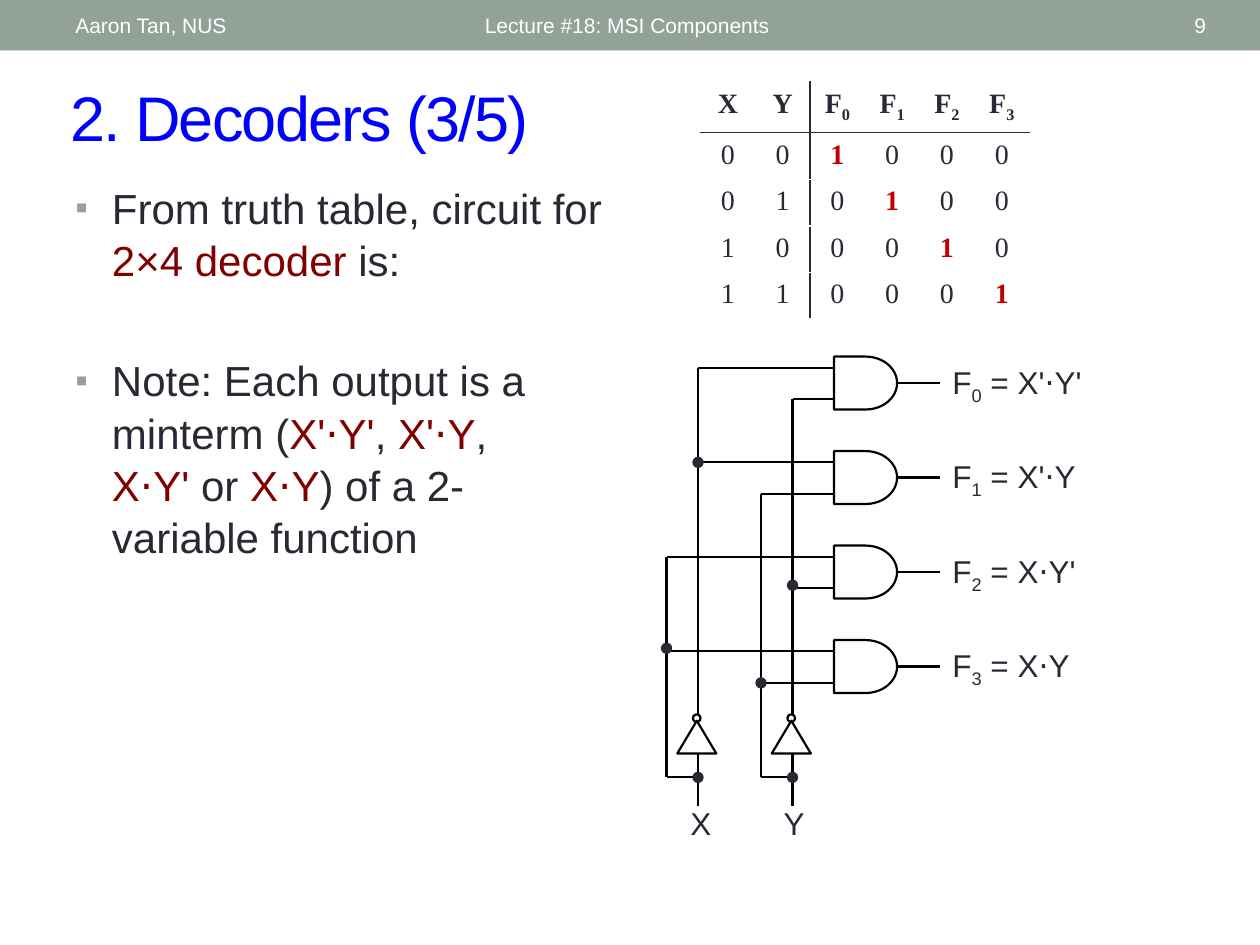
from lxml.etree import SubElement
from pptx import Presentation
from pptx.dml.color import RGBColor
from pptx.enum.shapes import MSO_CONNECTOR, MSO_SHAPE
from pptx.enum.text import MSO_ANCHOR, PP_ALIGN
from pptx.oxml import parse_xml
from pptx.oxml.ns import nsdecls, qn
from pptx.util import Inches, Pt

INK = RGBColor(0x29, 0x29, 0x34)
BLACK = RGBColor(0, 0, 0)
WHITE = RGBColor(255, 255, 255)
SAGE = RGBColor(0x93, 0xA2, 0x99)
BLUE = RGBColor(0, 0, 255)
MAROON = RGBColor(0x80, 0, 0)
RED = RGBColor(0xC0, 0, 0)

# Circuit grid: square units, counted from the top left wire corner
UNIT, LEFT, TOP = 0.25, 5.29, 2.92
GATE_X, GATE_W, GATE_H = 6.62, 0.5, 0.42
OUT_X = 7.46

deck = Presentation()
deck.slide_width, deck.slide_height = Inches(10), Inches(7.5)
slide = deck.slides.add_slide(deck.slide_layouts[6])
shapes = slide.shapes


def say(para, text, size, color=INK, accent=None, face="Arial", bold=False):
    """Add runs; every second part between bars is accented or subscript."""
    for i, part in enumerate(text.split("|")):
        run = para.add_run()
        run.text = part
        font = run.font
        font.name, font.size, font.bold = face, Pt(size), bold
        font.color.rgb = accent if i % 2 and accent else color
        if i % 2 and not accent:
            run._r.get_or_add_rPr().set("baseline", "-25000")


def wire(x1, y1, x2, y2):
    line = shapes.add_connector(MSO_CONNECTOR.STRAIGHT, Inches(x1), Inches(y1),
                                Inches(x2), Inches(y2))
    line.line.color.rgb, line.line.width = BLACK, Pt(1.25)
    SubElement(line._element.spPr, qn("a:effectLst"))
    return line


# Header band
band = shapes.add_shape(MSO_SHAPE.RECTANGLE, 0, 0, deck.slide_width, Inches(0.4))
band.shadow.inherit = False
band.fill.solid()
band.fill.fore_color.rgb = SAGE
band.line.fill.background()

# Header texts, title, wire labels
texts = [
    (0.5, 0.02, 3.17, 0.36, "Aaron Tan, NUS", 12, WHITE),
    (3.75, 0.02, 4.5, 0.36, "Lecture #18: MSI Components", 12, WHITE),
    (8.72, 0.02, 0.95, 0.36, "9", 12, WHITE),
    (0.46, 0.57, 9.36, 0.7, "2. Decoders (3/5)", 36, BLUE),
    (5.38, 6.33, 0.42, 0.4, "X", 18, INK),
    (6.12, 6.33, 0.42, 0.4, "Y", 18, INK),
]
for i, term in enumerate(("X'⋅Y'", "X'⋅Y", "X⋅Y'", "X⋅Y")):
    texts.append((OUT_X, 2.83 + 3 * UNIT * i, 1.29, 0.4, f"F|{i}| = {term}", 18, INK))
for x, y, w, h, text, size, color in texts:
    frame = shapes.add_textbox(Inches(x), Inches(y), Inches(w), Inches(h)).text_frame
    frame.word_wrap = True
    frame.vertical_anchor = MSO_ANCHOR.TOP if size == 18 else MSO_ANCHOR.MIDDLE
    para = frame.paragraphs[0]
    say(para, text, size, color)
    if text == "9":
        para.alignment = PP_ALIGN.RIGHT
    if size == 36:
        para.runs[0]._r.get_or_add_rPr().set("spc", "-100")

# Bulleted notes
notes = [
    (1.38, 4.75, 1.04, "From truth table, circuit for |2×4 decoder| is:"),
    (2.75, 3.92, 1.92, "Note: Each output is a minterm (|X'⋅Y'|, |X'⋅Y|, |X⋅Y'| or "
                       "|X⋅Y|) of a 2-variable function"),
]
for y, w, h, text in notes:
    frame = shapes.add_textbox(Inches(0.5), Inches(y), Inches(w), Inches(h)).text_frame
    frame.word_wrap = True
    para = frame.paragraphs[0]
    para.line_spacing = 1.04
    props = para._p.get_or_add_pPr()
    props.set("marL", str(Inches(0.29)))
    props.set("indent", str(-Inches(0.29)))
    tint = SubElement(props, qn("a:buClr"))
    SubElement(tint, qn("a:srgbClr")).set("val", str(SAGE))
    SubElement(props, qn("a:buSzPct")).set("val", "85000")
    SubElement(props, qn("a:buFont")).set("typeface", "Arial")
    SubElement(props, qn("a:buChar")).set("char", "▪")
    say(para, text, 24, accent=MAROON)

# Wires in grid units; X, X', Y, Y' run in columns 0, 1, 3, 4
END = (GATE_X - LEFT) / UNIT
wires = [(0, 6, 0, 13), (1, 0, 1, 11), (3, 4, 3, 13), (4, 1, 4, 11)]
for col in (1, 4):
    wires += [(col, 12.24, col, 13.9), (col - 1, 13, col, 13)]
for gate, pair in enumerate(((1, 4), (1, 3), (0, 4), (0, 3))):
    for pin, col in enumerate(pair):
        row = 3 * gate + pin
        wires.append((col, row, END, row))
for x1, y1, x2, y2 in wires:
    wire(LEFT + UNIT * x1, TOP + UNIT * y1, LEFT + UNIT * x2, TOP + UNIT * y2)

# Gates, inverters and junction dots, placed by their centres
parts = [(MSO_SHAPE.FLOWCHART_DELAY, GATE_X + GATE_W / 2, 3.04 + 3 * UNIT * i,
          GATE_W, GATE_H) for i in range(4)]
for col in (1, 4):
    mid = LEFT + UNIT * col - 0.01
    parts += [(MSO_SHAPE.FLOWCHART_MERGE, mid, 5.85, 0.31, 0.26),
              (MSO_SHAPE.OVAL, mid, 5.7, 0.06, 0.06)]
for col, row in ((1, 3), (4, 6.9), (3, 10), (0, 8.9), (1, 13), (4, 13)):
    parts.append((MSO_SHAPE.OVAL, LEFT + UNIT * col, TOP + UNIT * row, 0.08, 0.08))
for kind, x, y, w, h in parts:
    part = shapes.add_shape(kind, Inches(x - w / 2), Inches(y - h / 2), Inches(w), Inches(h))
    part.shadow.inherit = False
    dot = w == 0.08
    part.line.color.rgb = INK if dot else BLACK
    part.line.width = Pt(0.75 if dot else 1.25)
    if dot:
        part.fill.solid()
        part.fill.fore_color.rgb = INK
    else:
        part.fill.background()
    if kind == MSO_SHAPE.FLOWCHART_MERGE:
        part.rotation = 180
    if kind == MSO_SHAPE.FLOWCHART_DELAY:
        wire(GATE_X + GATE_W, y, OUT_X, y).begin_connect(part, 3)

# Truth table
table = shapes.add_table(5, 6, Inches(5.56), Inches(0.65), Inches(2.61), Inches(1.87)).table
table.first_row = table.horz_banding = False
for col in table.columns:
    col.width = Inches(2.61 / 6)
for r, row in enumerate(table.rows):
    row.height = Inches(0.37 if r else 0.4)
    for c, cell in enumerate(row.cells):
        if r == 0:
            text = "XY"[c] if c < 2 else f"F|{c - 2}|"
        elif c < 2:
            text = str((r - 1) >> (1 - c) & 1)
        else:
            text = str(int(c - 2 == r - 1))
        hot = r > 0 and c == r + 1
        para = cell.text_frame.paragraphs[0]
        para.alignment = PP_ALIGN.CENTER
        say(para, text.rstrip("|"), 16, RED if hot else INK,
            face="Times New Roman", bold=hot or r == 0)
        cell.fill.background()
        rules = {"lnL": c == 2, "lnR": c == 1, "lnT": r == 1, "lnB": r == 0}
        sides = [side for side, shown in rules.items() if shown]
        for i, side in enumerate(sides):
            cell._tc.get_or_add_tcPr().insert(i, parse_xml(
                f'<a:{side} {nsdecls("a")} w="12700"><a:solidFill>'
                f'<a:srgbClr val="{INK}"/></a:solidFill></a:{side}>'))

deck.save("out.pptx")
